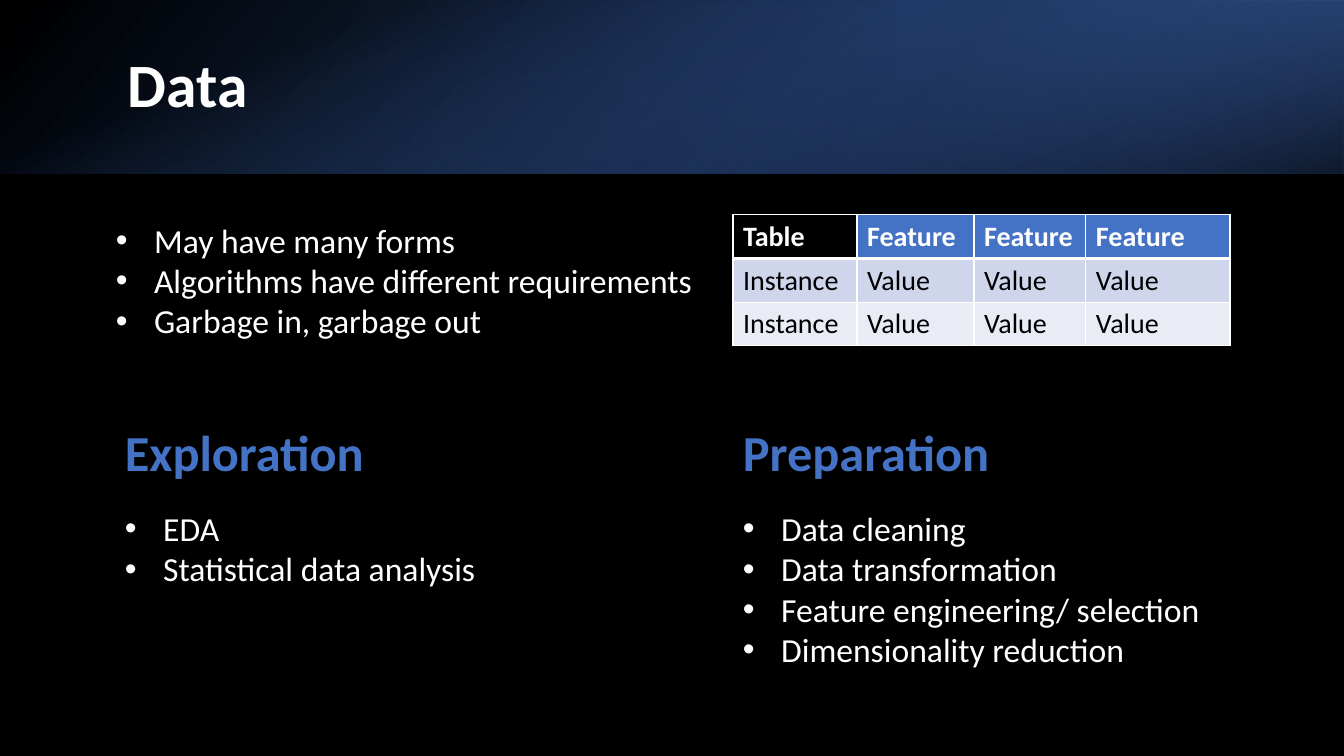
from dataclasses import dataclass

from pptx import Presentation
from pptx import util as u
from pptx.dml.color import RGBColor
from pptx.enum import shapes, text
from pptx.oxml import parse_xml
from pptx.oxml.ns import nsdecls, qn
from lxml import etree

FONT = "Calibri"
COLORS = {
    "black": "000000",
    "white": "FFFFFF",
    "blue": "4472C4",
    "deep_blue": "2F5597",
    "navy": "203864",
    "band_dark": "CFD5EA",
    "band_light": "E9EBF5",
}
LEFT_COLUMN, RIGHT_COLUMN = 1.14, 7.27
HEADING_TOP, LIST_TOP = 4.07, 4.99
BANNER_HEIGHT = 1.72
INDENT = u.Inches(0.38)


@dataclass
class Box:
    left: float
    top: float
    width: float
    height: float

    def lengths(self) -> list:
        return [u.Inches(value) for value in (self.left, self.top, self.width, self.height)]


@dataclass
class GradientStop:
    position: int
    color: str
    opacity: int


@dataclass
class BannerLayer:
    box: Box
    angle: int
    stops: list[GradientStop]
    rotation: int = 0
    flipped: bool = False


@dataclass
class Heading:
    box: Box
    words: str


@dataclass
class BulletList:
    box: Box
    items: list[str]


BANNER_LAYERS = [
    BannerLayer(Box(0, 0, 13.33, BANNER_HEIGHT), 140,
                [GradientStop(0, "black", 96), GradientStop(100, "deep_blue", 100)], flipped=True),
    BannerLayer(Box(8.89, 0, 4.44, BANNER_HEIGHT), 320,
                [GradientStop(19, "navy", 68), GradientStop(100, "blue", 79)], 180, True),
    BannerLayer(Box(5.8, -5.8, BANNER_HEIGHT, 13.33), 340,
                [GradientStop(23, "blue", 0), GradientStop(99, "black", 74)], 90),
]
HEADINGS = [
    Heading(Box(RIGHT_COLUMN, HEADING_TOP, 4.07, 0.77), "Preparation"),
    Heading(Box(LEFT_COLUMN, HEADING_TOP, 4.07, 0.77), "Exploration"),
]
BULLET_LISTS = [
    BulletList(Box(LEFT_COLUMN, LIST_TOP, 4.02, 0.91), ["EDA", "Statistical data analysis"]),
    BulletList(Box(RIGHT_COLUMN, LIST_TOP, 4.93, 2.12),
               ["Data cleaning", "Data transformation",
                "Feature engineering/ selection", "Dimensionality reduction"]),
    BulletList(Box(1.05, 2.13, 9.2, 1.31),
               ["May have many forms", "Algorithms have different requirements",
                "Garbage in, garbage out"]),
]
TABLE_BOX = Box(RIGHT_COLUMN, 2.13, 4.93, 1.3)
COLUMN_WIDTHS = [1.23, 1.16, 1.11, 1.43]
TABLE_ROWS = [["Table"] + ["Feature"] * 3] + [["Instance"] + ["Value"] * 3] * 2
ROW_FILLS = ["blue", "band_dark", "band_light"]


def rgb(color: str) -> RGBColor:
    return RGBColor.from_string(COLORS[color])


def format_runs(paragraph, size: float, color: str, bold: bool = False) -> None:
    for run in paragraph.runs:
        run.font.name = FONT
        run.font.size = u.Pt(size)
        run.font.bold = bold
        run.font.color.rgb = rgb(color)


def add_banner_layer(slide, layer: BannerLayer) -> None:
    shape = slide.shapes.add_shape(shapes.MSO_SHAPE.RECTANGLE, *layer.box.lengths())
    shape.rotation = layer.rotation
    properties = shape.element.spPr
    if layer.flipped:
        properties.find(qn("a:xfrm")).set("flipH", "1")
    stops = "".join(
        f'<a:gs pos="{stop.position * 1000}"><a:srgbClr val="{COLORS[stop.color]}">'
        f'<a:alpha val="{stop.opacity * 1000}"/></a:srgbClr></a:gs>'
        for stop in layer.stops)
    properties.append(parse_xml(
        f'<a:gradFill {nsdecls("a")} rotWithShape="1"><a:gsLst>{stops}</a:gsLst>'
        f'<a:lin ang="{layer.angle * 60000}" scaled="0"/></a:gradFill>'))
    shape.line.fill.background()
    shape.shadow.inherit = False


def add_text_frame(slide, box: Box):
    frame = slide.shapes.add_textbox(*box.lengths()).text_frame
    frame.word_wrap = True
    return frame


def add_title(slide, box: Box, words: str) -> None:
    frame = add_text_frame(slide, box)
    frame.vertical_anchor = text.MSO_ANCHOR.MIDDLE
    frame.text = words
    paragraph = frame.paragraphs[0]
    paragraph.line_spacing = 0.9
    paragraph.space_after = u.Pt(6)
    format_runs(paragraph, 44, "white", True)


def add_heading(slide, heading: Heading) -> None:
    frame = add_text_frame(slide, heading.box)
    frame.auto_size = text.MSO_AUTO_SIZE.SHAPE_TO_FIT_TEXT
    frame.text = heading.words
    paragraph = frame.paragraphs[0]
    paragraph.space_after = u.Pt(5.6)
    paragraph.add_run().text = " "
    format_runs(paragraph, 36, "blue", True)
    paragraph.runs[-1].font.size = u.Pt(40)


def add_bullet_list(slide, bullet_list: BulletList) -> None:
    frame = add_text_frame(slide, bullet_list.box)
    frame.auto_size = text.MSO_AUTO_SIZE.SHAPE_TO_FIT_TEXT
    frame.text = "\n".join(bullet_list.items)
    for paragraph in frame.paragraphs:
        properties = paragraph._p.get_or_add_pPr()
        properties.set("marL", str(INDENT))
        properties.set("indent", str(-INDENT))
        etree.SubElement(properties, qn("a:buFont")).set("typeface", "Arial")
        etree.SubElement(properties, qn("a:buChar")).set("char", "•")
        format_runs(paragraph, 24, "white")


def add_cell_borders(cell, top: int, bottom: int) -> None:
    properties = cell._tc.get_or_add_tcPr()
    for side, width in {"L": 1, "R": 1, "T": top, "B": bottom}.items():
        properties.append(parse_xml(
            f'<a:ln{side} {nsdecls("a")} w="{u.Pt(width)}"><a:solidFill>'
            f'<a:srgbClr val="{COLORS["white"]}"/></a:solidFill></a:ln{side}>'))


def add_data_table(slide) -> None:
    table = slide.shapes.add_table(len(TABLE_ROWS), len(COLUMN_WIDTHS), *TABLE_BOX.lengths()).table
    for column, width in zip(table.columns, COLUMN_WIDTHS):
        column.width = u.Inches(width)
    for row_index, row in enumerate(TABLE_ROWS):
        is_header = row_index == 0
        for column_index, words in enumerate(row):
            cell = table.cell(row_index, column_index)
            cell.text = words
            format_runs(cell.text_frame.paragraphs[0], 20,
                        "white" if is_header else "black", is_header)
            add_cell_borders(cell, 3 if row_index == 1 else 1, 3 if is_header else 1)
            if is_header and column_index == 0:
                cell.fill.background()
            else:
                cell.fill.solid()
                cell.fill.fore_color.rgb = rgb(ROW_FILLS[row_index])


def main() -> None:
    presentation = Presentation()
    presentation.slide_width = u.Inches(13.33)
    presentation.slide_height = u.Inches(7.5)
    slide = presentation.slides.add_slide(presentation.slide_layouts[6])
    slide.background.fill.solid()
    slide.background.fill.fore_color.rgb = rgb("black")
    for layer in BANNER_LAYERS:
        add_banner_layer(slide, layer)
    add_title(slide, Box(1.17, 0.39, 10.98, 0.96), "Data")
    for heading in HEADINGS:
        add_heading(slide, heading)
    for bullet_list in BULLET_LISTS:
        add_bullet_list(slide, bullet_list)
    add_data_table(slide)
    presentation.save("out.pptx")


if __name__ == "__main__":
    main()
